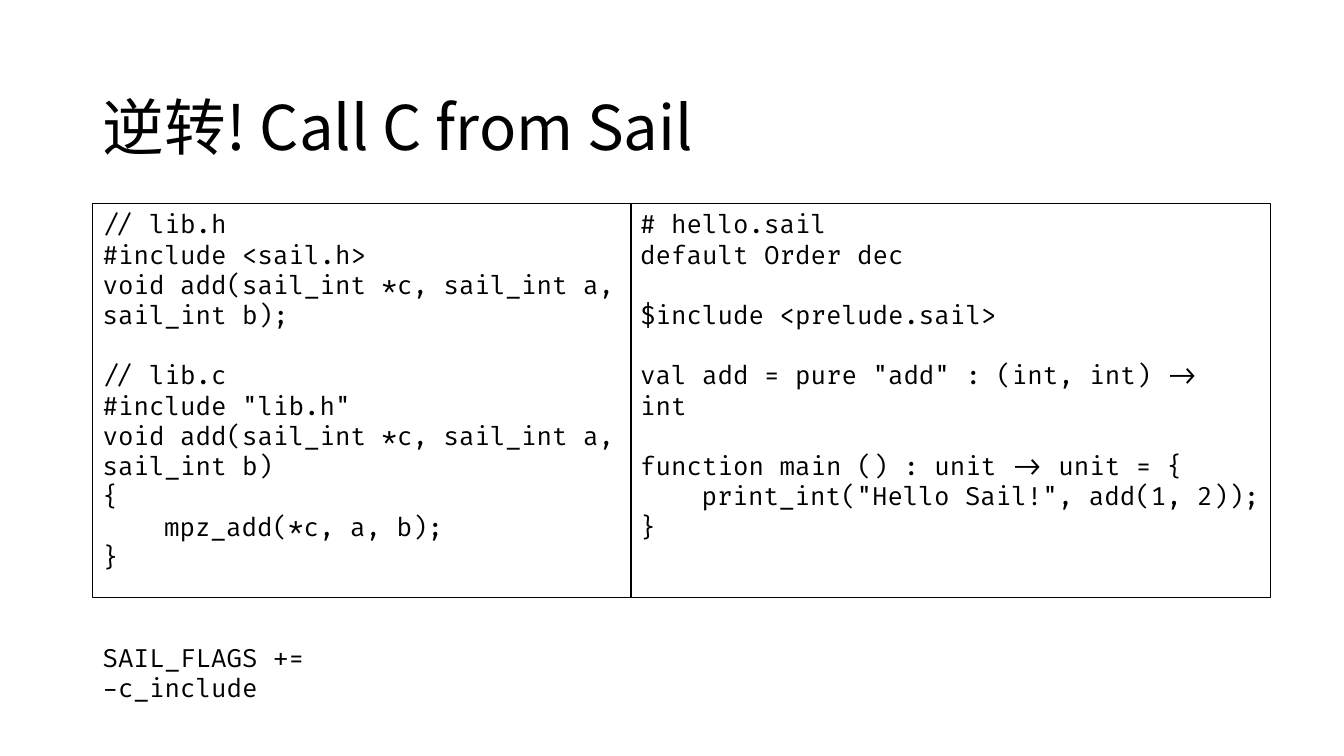
from dataclasses import dataclass

from lxml import etree
from pptx import Presentation
from pptx.dml.color import RGBColor
from pptx.enum.shapes import MSO_SHAPE
from pptx.enum.text import MSO_ANCHOR, MSO_AUTO_SIZE, PP_ALIGN
from pptx.oxml.ns import qn
from pptx.slide import Slide
from pptx.text.text import Font
from pptx.util import Inches, Pt

BLACK = "000000"
CODE_FONT = "Fira Code"
TITLE_FONT = "Noto Sans CJK SC"
CODE_SIZE = 18
LINE_HEIGHT = 21.6
LEFT = 0.92
PANEL_TOP, PANEL_HEIGHT = 2.02, 3.91
INDENT = 0.61


@dataclass(frozen=True)
class CodeLine:
    text: str
    indent: int = 0


@dataclass(frozen=True)
class CodePanel:
    left: float
    width: float
    sections: list[list[CodeLine]]


PANELS = [
    CodePanel(LEFT, 5.34, [
        [CodeLine("// lib.h"),
         CodeLine("#include <sail.h>"),
         CodeLine("void add(sail_int *c, sail_int a, sail_int b);")],
        [CodeLine("// lib.c"),
         CodeLine('#include "lib.h"'),
         CodeLine("void add(sail_int *c, sail_int a, sail_int b)"),
         CodeLine("{"),
         CodeLine("mpz_add(*c, a, b);", 1),
         CodeLine("}")],
    ]),
    CodePanel(6.25, 6.35, [
        [CodeLine("# hello.sail"),
         CodeLine("default Order dec")],
        [CodeLine("$include <prelude.sail>")],
        [CodeLine('val add = pure "add" : (int, int) -> int')],
        [CodeLine("function main () : unit -> unit = {"),
         CodeLine('print_int("Hello Sail!", add(1, 2));', 1),
         CodeLine("}")],
    ]),
]


def color(value: str) -> RGBColor:
    return RGBColor.from_string(value)


def style_font(font: Font, name: str, size: float) -> None:
    font.name = name
    font.size = Pt(size)
    font.color.rgb = color(BLACK)


def add_title(slide: Slide, text: str) -> None:
    title = slide.shapes.title
    title.left, title.top = Inches(LEFT), Inches(0.57)
    title.width, title.height = Inches(11.5), Inches(1.45)
    frame = title.text_frame
    frame.text = text
    frame.vertical_anchor = MSO_ANCHOR.MIDDLE
    paragraph = frame.paragraphs[0]
    paragraph.alignment = PP_ALIGN.LEFT
    paragraph.line_spacing = 0.9
    run = paragraph.runs[0]
    style_font(run.font, TITLE_FONT, 44)
    # East Asian typeface for the Chinese characters
    east_asian = etree.SubElement(run.font._element, qn("a:ea"))
    east_asian.set("typeface", TITLE_FONT)


def add_panel(slide: Slide, panel: CodePanel) -> None:
    box = slide.shapes.add_shape(
        MSO_SHAPE.RECTANGLE, Inches(panel.left), Inches(PANEL_TOP),
        Inches(panel.width), Inches(PANEL_HEIGHT))
    box.shadow.inherit = False
    box.fill.background()
    box.line.color.rgb = color(BLACK)
    box.line.width = Pt(0.75)
    frame = box.text_frame
    frame.word_wrap = True
    frame.vertical_anchor = MSO_ANCHOR.TOP

    for section_index, section in enumerate(panel.sections):
        for line_index, line in enumerate(section):
            first = section_index == line_index == 0
            paragraph = frame.paragraphs[0] if first else frame.add_paragraph()
            paragraph.text = line.text
            paragraph.alignment = PP_ALIGN.LEFT
            style_font(paragraph.font, CODE_FONT, CODE_SIZE)
            # One line of space separates sections
            if section_index and line_index == 0:
                paragraph.space_before = Pt(LINE_HEIGHT)
            if line.indent:
                properties = paragraph._p.get_or_add_pPr()
                properties.set("marL", str(Inches(INDENT * line.indent)))


def add_build_flags(slide: Slide, text: str) -> None:
    flags = slide.shapes.add_textbox(
        Inches(LEFT), Inches(6.32), Inches(3.27), Inches(0.4))
    frame = flags.text_frame
    frame.word_wrap = True
    frame.auto_size = MSO_AUTO_SIZE.SHAPE_TO_FIT_TEXT
    frame.text = text
    style_font(frame.paragraphs[0].font, CODE_FONT, CODE_SIZE)


def main() -> None:
    presentation = Presentation()
    presentation.slide_width = Inches(13.33)
    presentation.slide_height = Inches(7.5)
    slide = presentation.slides.add_slide(presentation.slide_layouts[5])

    # Heading
    add_title(slide, "逆转! Call C from Sail")

    # C library beside the Sail program
    for panel in PANELS:
        add_panel(slide, panel)

    # Build setting
    add_build_flags(slide, "SAIL_FLAGS += -c_include")

    presentation.save("out.pptx")


if __name__ == "__main__":
    main()
